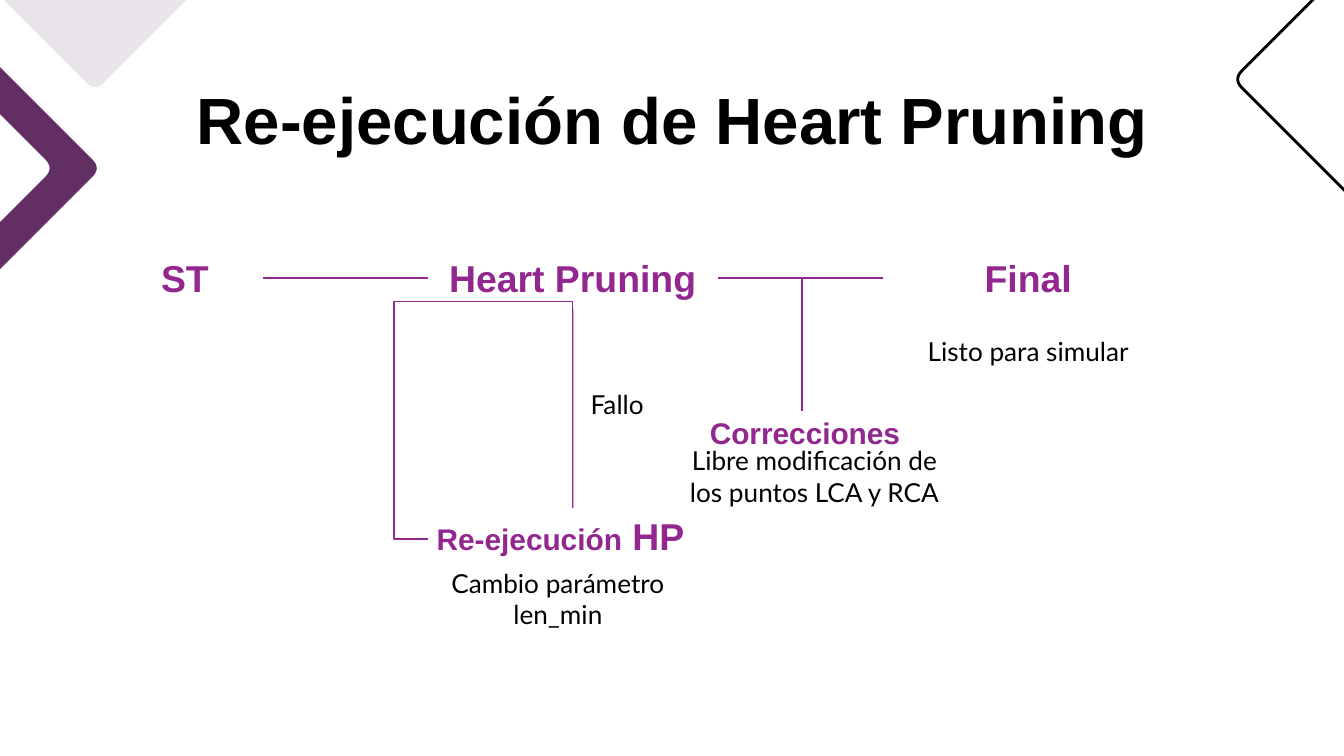
from math import dist

from lxml import etree
from pptx import Presentation
from pptx import util as u
from pptx.dml.color import RGBColor
from pptx.enum import shapes, text
from pptx.oxml.ns import qn

PURPLE = "92278F"
BLACK = "000000"
LABEL_WIDTH = 5.49
HEADING_HEIGHT, NOTE_HEIGHT = 1.17, 1.6
STAGE_TOP = 4.67

STYLES = {
    "title": {"size": 35, "name": "Arial", "bold": True, "color": BLACK},
    "stage": {"size": 20, "name": "Arial", "bold": True, "color": PURPLE},
    "step": {"size": 16, "name": "Arial", "bold": True, "color": PURPLE},
    "note": {"size": 14, "name": "Lato", "bold": False, "color": BLACK},
}
TITLE = ("Re-ejecución de Heart Pruning", 2.01, 1.24, 21.41, 1.6)
STAGES = [("ST", 2.01, 2.97), ("Heart Pruning", 8.08, LABEL_WIDTH),
          ("Final", 16.69, LABEL_WIDTH)]
STEPS = [([("Re-ejecución", "step"), (" HP", "stage")], 7.85, 9.53),
         ([("Correcciones", "step")], 12.47, 7.59)]
NOTES = [("Listo para simular", 16.69, 5.84),
         ("Cambio parámetro len_min", 7.8, 10.52),
         ("Fallo", 8.92, 6.83),
         ("Libre modificación de los puntos LCA y RCA", 12.65, 8.2)]

ROUND = True
DECORATIONS = [
    {"corners": [(-0.99, -1.06), (1.8, 1.73, ROUND), (4.59, -1.06)],
     "fill": "EAE5EB"},
    {"corners": [(-1.14, 0.13), (1.91, 3.18, ROUND), (-1.14, 6.23),
                 (-1.14, 5.34), (1.02, 3.18, ROUND), (-1.14, 1.02)],
     "fill": "632E62"},
    {"corners": [(26.5, -1.69), (23.31, 1.5, ROUND), (26.5, 4.69)],
     "line": BLACK},
]


def rgb(value):
    return RGBColor.from_string(value)


def toward(start, end, length):
    share = length / dist(start, end)
    return tuple(a + (b - a) * share for a, b in zip(start, end))


def rounded_outline(corners, cut=0.23, steps=8):
    points = []
    for index, (x, y, *is_round) in enumerate(corners):
        if not is_round:
            points.append((x, y))
            continue
        start = toward((x, y), corners[index - 1][:2], cut)
        end = toward((x, y), corners[index + 1][:2], cut)
        for step in range(steps + 1):
            t = step / steps
            points.append(tuple((1 - t) ** 2 * a + 2 * t * (1 - t) * b + t ** 2 * c
                                for a, b, c in zip(start, (x, y), end)))
    return [(u.Cm(x), u.Cm(y)) for x, y in points]


def add_decoration(slide, corners, fill=None, line=None):
    points = rounded_outline(corners)
    builder = slide.shapes.build_freeform(*points[0])
    builder.add_line_segments(points[1:], close=bool(fill))
    shape = builder.convert_to_shape()
    shape.shadow.inherit = False
    if fill:
        shape.fill.solid()
        shape.fill.fore_color.rgb = rgb(fill)
        shape.line.fill.background()
    else:
        shape.fill.background()
        shape.line.color.rgb = rgb(line)
        shape.line.width = u.Pt(1.5)


def add_label(slide, runs, left, top, width, height, anchor=text.MSO_ANCHOR.MIDDLE):
    shape = slide.shapes.add_textbox(*map(u.Cm, (left, top, width, height)))
    frame = shape.text_frame
    settings = {"word_wrap": True, "vertical_anchor": anchor}
    settings |= {f"margin_{side}": u.Cm(0.25) for side in ("left", "right", "top", "bottom")}
    for name, value in settings.items():
        setattr(frame, name, value)
    paragraph = frame.paragraphs[0]
    paragraph.alignment = text.PP_ALIGN.CENTER
    for words, style in runs:
        run = paragraph.add_run()
        run.text = words
        values = dict(STYLES[style])
        run.font.color.rgb = rgb(values.pop("color"))
        values["size"] = u.Pt(values["size"])
        for name, value in values.items():
            setattr(run.font, name, value)
    return shape


def add_line(slide, start, end, kind=shapes.MSO_CONNECTOR.STRAIGHT):
    connector = slide.shapes.add_connector(kind, *map(u.Cm, start + end))
    connector.line.color.rgb = rgb(PURPLE)
    connector.line.width = u.Pt(0.75)
    etree.SubElement(connector._element.spPr, qn("a:effectLst"))
    return connector


def add_loop(slide, start, end, adjustments):
    connector = add_line(slide, start, end, shapes.MSO_CONNECTOR.ELBOW)
    geometry = connector._element.spPr.find(qn("a:prstGeom"))
    geometry.set("prst", "bentConnector4")
    guides = geometry.find(qn("a:avLst"))
    for number, value in enumerate(adjustments, 1):
        etree.SubElement(guides, qn("a:gd"), name=f"adj{number}", fmla=f"val {value}")


def main():
    presentation = Presentation()
    presentation.slide_width, presentation.slide_height = u.Cm(25.4), u.Cm(14.29)
    slide = presentation.slides.add_slide(presentation.slide_layouts[6])

    for decoration in DECORATIONS:
        add_decoration(slide, **decoration)

    title, *box = TITLE
    add_label(slide, [(title, "title")], *box, anchor=text.MSO_ANCHOR.TOP)
    stages = [add_label(slide, [(name, "stage")], left, STAGE_TOP, width, HEADING_HEIGHT)
              for name, left, width in STAGES]
    for runs, left, top in STEPS:
        add_label(slide, runs, left, top, LABEL_WIDTH, HEADING_HEIGHT)
    for note, left, top in NOTES:
        add_label(slide, [(note, "note")], left, top, LABEL_WIDTH, NOTE_HEIGHT)

    middle = STAGE_TOP + HEADING_HEIGHT / 2
    for index, (_, left, width) in enumerate(STAGES[:-1]):
        connector = add_line(slide, (left + width, middle), (STAGES[index + 1][1], middle))
        connector.begin_connect(stages[index], 3)
        connector.end_connect(stages[index + 1], 1)

    _, pruning_left, pruning_width = STAGES[1]
    pruning_bottom = (pruning_left + pruning_width / 2, STAGE_TOP + HEADING_HEIGHT)
    failure = add_line(slide, pruning_bottom, (pruning_bottom[0], 9.6))
    failure.begin_connect(stages[1], 2)
    add_line(slide, (15.16, middle), (15.16, 7.77))
    add_loop(slide, (pruning_left, 10.19), pruning_bottom, (-23100, 103200))

    presentation.save("out.pptx")


if __name__ == "__main__":
    main()
